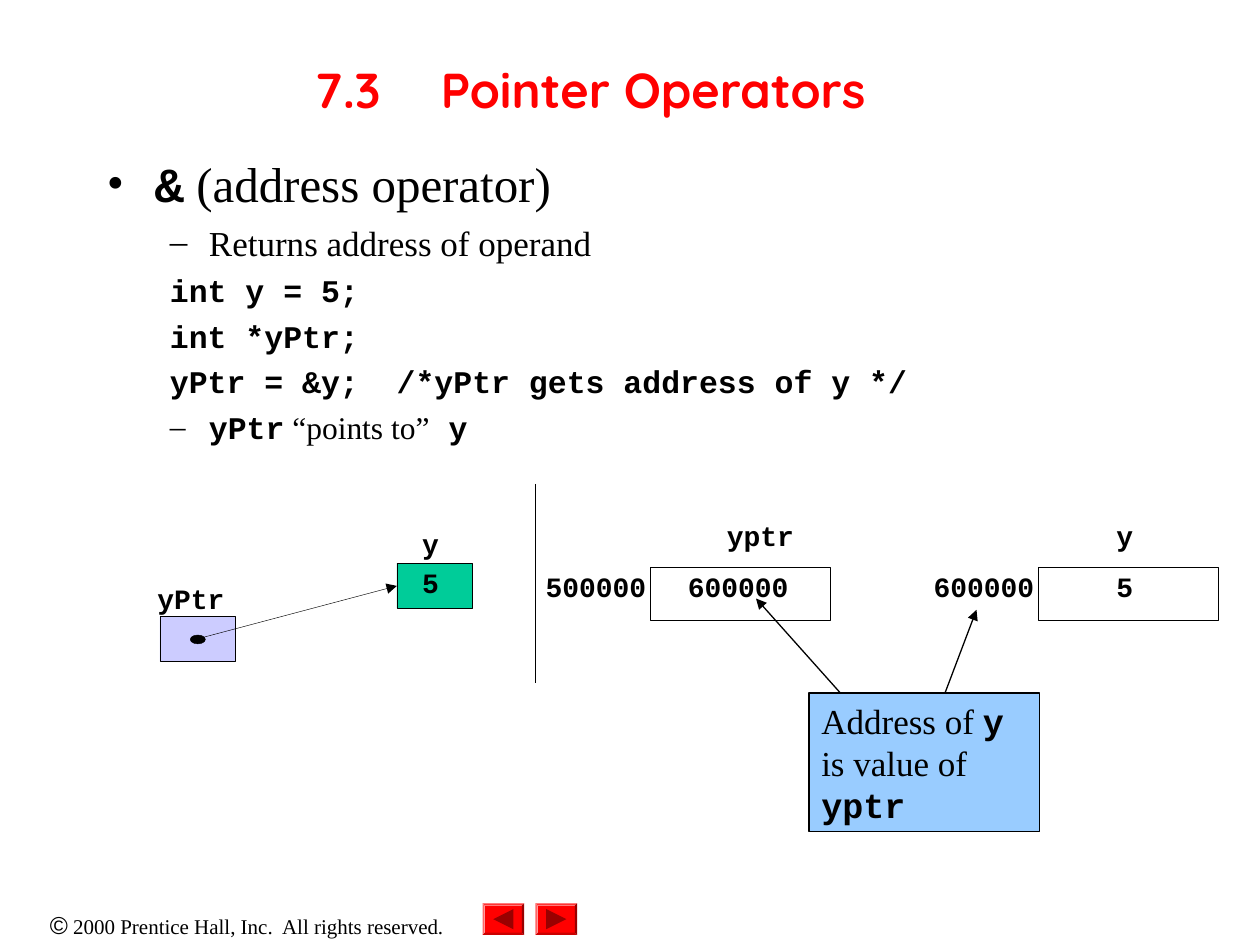
from dataclasses import dataclass
from lxml.etree import SubElement
from pptx import Presentation
from pptx.dml.color import RGBColor
from pptx.enum.shapes import MSO_CONNECTOR, MSO_SHAPE
from pptx.enum.text import MSO_ANCHOR, PP_ALIGN
from pptx.oxml.ns import qn
from pptx.util import Inches, Pt


@dataclass(frozen=True)
class Theme:
    black: str = "000000"
    red: str = "FF0000"
    dark: str = "990000"
    lilac: str = "CCCCFF"
    green: str = "00CC99"
    blue: str = "99CCFF"
    head: str = "Quicksand"
    serif: str = "Times New Roman"
    sans: str = "Arial"
    code: str = "Courier New"
    big: int = 28
    mid: int = 20
    small: int = 18
    label: int = 16
    mark: int = 14
    foot: int = 12
    thin: float = 0.25
    line: float = 0.75


class Board:
    def __init__(self, slide, theme):
        self.slide = slide
        self.theme = theme

    def run(self, para, text, font, size, color=None, bold=False):
        run = para.add_run()
        run.text = text
        run.font.name = font
        run.font.size = Pt(size)
        run.font.bold = bold
        run.font.color.rgb = RGBColor.from_string(color or self.theme.black)

    def text(self, x, y, w, h, inset=True):
        box = self.slide.shapes.add_textbox(Inches(x), Inches(y), Inches(w), Inches(h))
        frame = box.text_frame
        frame.word_wrap = True
        if not inset:
            frame.margin_left = frame.margin_right = 0
            frame.margin_top = frame.margin_bottom = 0
        return frame

    def label(self, text, x, y, w, h, space):
        para = self.text(x, y, w, h, inset=False).paragraphs[0]
        para.line_spacing = space
        self.run(para, text, self.theme.code, self.theme.label, bold=True)

    def tabs(self, para, stops):
        tabs = SubElement(para._p.get_or_add_pPr(), qn("a:tabLst"))
        for stop in stops:
            SubElement(tabs, qn("a:tab"), pos=str(Inches(stop)), algn="l")

    def bullet(self, para, mark, left, hang):
        props = para._p.get_or_add_pPr()
        props.set("marL", str(Inches(left)))
        props.set("indent", str(Inches(-hang)))
        if mark:
            color = SubElement(props, qn("a:buClr"))
            SubElement(color, qn("a:srgbClr"), val=self.theme.black)
            SubElement(props, qn("a:buFont"), typeface=self.theme.serif)
            SubElement(props, qn("a:buChar"), char=mark)
        else:
            SubElement(props, qn("a:buNone"))

    def shape(self, kind, x, y, w, h, fill=None, width=None):
        shape = self.slide.shapes.add_shape(
            kind, Inches(x), Inches(y), Inches(w), Inches(h))
        shape.shadow.inherit = False
        if fill:
            shape.fill.solid()
            shape.fill.fore_color.rgb = RGBColor.from_string(fill)
        else:
            shape.fill.background()
        if width:
            shape.line.width = Pt(width)
            shape.line.color.rgb = RGBColor.from_string(self.theme.black)
        else:
            shape.line.fill.background()
        return shape

    def line(self, start, end, width, arrow=True):
        line = self.slide.shapes.add_connector(
            MSO_CONNECTOR.STRAIGHT, *(Inches(v) for v in (*start, *end)))
        line.line.width = Pt(width)
        line.line.color.rgb = RGBColor.from_string(self.theme.black)
        if arrow:
            SubElement(line.line._get_or_add_ln(), qn("a:tailEnd"), type="triangle")
        SubElement(line._element.spPr, qn("a:effectLst"))
        return line

    def button(self, x, turn):
        w, h, side = 0.33, 0.25, 0.16
        plate = self.shape(MSO_SHAPE.BEVEL, x, 7.17, w, h, self.theme.red)
        plate.adjustments[0] = 0.07
        arrow = self.shape(MSO_SHAPE.ISOSCELES_TRIANGLE, x + (w - side) / 2,
                           7.17 + (h - side) / 2, side, side, self.theme.dark)
        arrow.rotation = turn


def heading(board):
    t = board.theme
    frame = board.text(0.75, 0.08, 8.5, 1.25)
    frame.vertical_anchor = MSO_ANCHOR.MIDDLE
    para = frame.paragraphs[0]
    para.alignment = PP_ALIGN.CENTER
    board.tabs(para, range(8))
    board.run(para, "7.3\tPointer Operators\t", t.head, t.big, t.red, True)


def body(board):
    t = board.theme
    code = [("–", 5, [("Returns address of operand", t.serif, t.mid)])]
    code += [(None, 4.5, [(text, t.code, t.small)]) for text in (
        "int y = 5;", "int *yPtr;", "yPtr = &y;  /*yPtr gets address of y */")]
    rows = [
        ("•", 0, [("&", t.code, t.big), (" (address operator)", t.serif, t.big)]),
        *code,
        ("–", 4.5, [("yPtr", t.code, t.small), (" “points to”", t.serif, t.small),
                    (" y", t.code, t.small)]),
    ]
    frame = board.text(0.75, 1.17, 8.5, 5.92)
    for i, (mark, space, runs) in enumerate(rows):
        para = frame.add_paragraph() if i else frame.paragraphs[0]
        para.level = min(i, 1)
        board.bullet(para, mark, *((0.81, 0.31) if i else (0.38, 0.38)))
        para.space_before = Pt(space)
        for text, font, size in runs:
            board.run(para, text, font, size, bold=font == t.code)


def pointer(board):
    t = board.theme
    board.shape(MSO_SHAPE.RECTANGLE, 1.27, 4.89, 0.6, 0.36, t.lilac, t.thin)
    value = board.shape(MSO_SHAPE.RECTANGLE, 3.15, 4.47, 0.6, 0.36, t.green, t.thin)
    arrow = board.line((1.57, 5.07), (3.15, 4.65), t.thin)
    arrow.end_connect(value, 1)
    board.shape(MSO_SHAPE.OVAL, 1.51, 5.04, 0.12, 0.07, t.black, t.thin)
    for text, x, y, w in (("yPtr", 1.25, 4.68, 0.63), ("y", 3.35, 4.25, 0.2),
                          ("5", 3.35, 4.56, 0.2)):
        board.label(text, x, y, w, 0.21, 0.72)


def store(board):
    t = board.theme
    cells = (("yptr", 5.77, 0.56, "500000", "600000", 5.46, 0.82),
             ("y", 8.86, 0.17, "600000", "5", 8.86, 0.17))
    for i, (name, left, wide, place, value, x, w) in enumerate(cells):
        shift = i * 3.08
        board.label(name, left, 4.17, wide, 0.32, 0.8)
        board.label(place, 4.33 + shift, 4.57, 0.82, 0.32, 0.8)
        board.label(value, x, 4.57, w, 0.32, 0.8)
        board.shape(MSO_SHAPE.RECTANGLE, 5.16 + shift, 4.5, 1.43, 0.42, width=t.thin)
    board.line((4.25, 3.84), (4.25, 5.42), t.line, arrow=False)

    note = board.shape(MSO_SHAPE.RECTANGLE, 6.42, 5.5, 1.83, 1.1, t.blue, t.line)
    frame = note.text_frame
    frame.word_wrap = True
    frame.vertical_anchor = MSO_ANCHOR.TOP
    para = frame.paragraphs[0]
    para.alignment = PP_ALIGN.LEFT
    for text, font in (("Address of ", t.serif), ("y", t.code),
                       (" is value of ", t.serif), ("yptr", t.code)):
        board.run(para, text, font, t.mid, bold=font == t.code)
    board.line((7.5, 5.5), (7.75, 4.84), t.line)
    board.line((6.67, 5.5), (6, 4.75), t.line)


def footer(board):
    t = board.theme
    para = board.text(0, 7.17, 3.92, 0.34).paragraphs[0]
    para.alignment = PP_ALIGN.CENTER
    board.run(para, "©", t.sans, t.mark)
    board.run(para, " 2000 Prentice Hall, Inc.  All rights reserved.", t.serif, t.foot)
    board.button(3.83, 270)
    board.button(4.25, 90)


def main():
    deck = Presentation()
    deck.slide_width, deck.slide_height = Inches(10), Inches(7.5)
    board = Board(deck.slides.add_slide(deck.slide_layouts[6]), Theme())
    for draw in (footer, heading, body, pointer, store):
        draw(board)
    deck.save("out.pptx")


if __name__ == "__main__":
    main()
